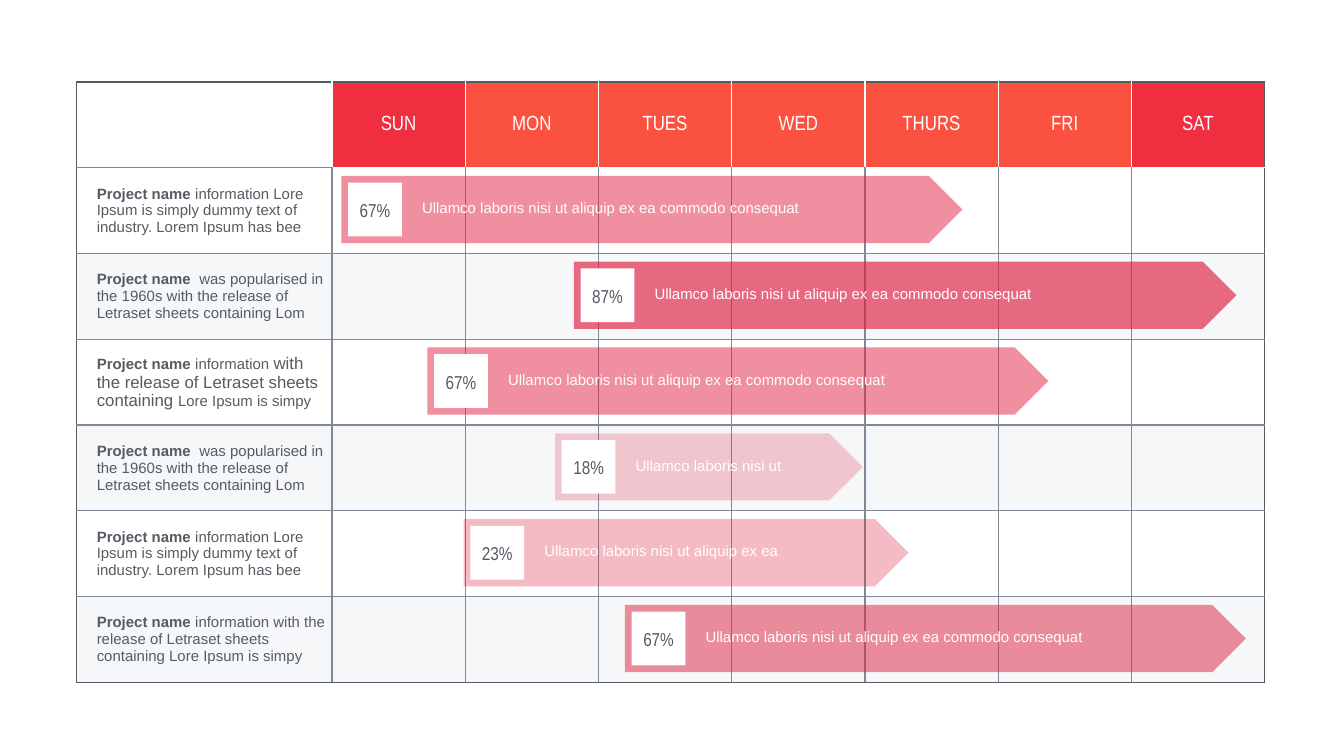
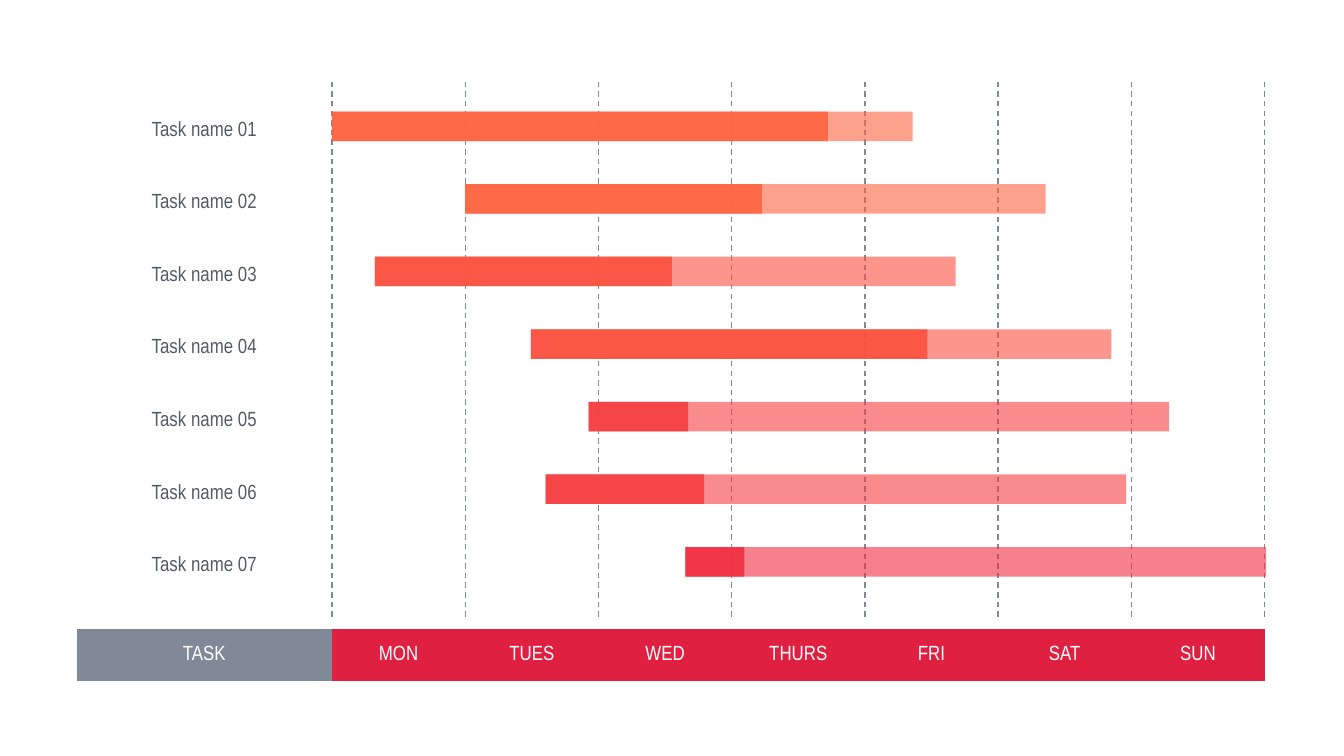
import pptx
import pptx.dml.color
import pptx.enum.dml
import pptx.enum.shapes
import pptx.enum.text
import pptx.oxml
import pptx.oxml.ns
import pptx.util
from lxml import etree

Inches = pptx.util.Inches
SHAPES = pptx.enum.shapes.MSO_SHAPE
ALIGN = pptx.enum.text.PP_ALIGN
qn = pptx.oxml.ns.qn

# Shared look
WHITE, DARK, GREY, PALE = "FFFFFF", "545B63", "7F8998", "EEF0F4"
CRIMSON, RED, CORAL, ORANGE = "E02041", "F12E40", "FA5140", "FE6340"
SCARLET = "F53E42"
BODY, NARROW = "Arial", "Arial Narrow"
PLAIN_TABLE = "{2D5ABB26-0587-4C30-8999-92F81FD0307C}"
CELL_INSETS = (0.04, 0.02, 0.04, 0.02)
PROJECT_INSETS = (0.15, 0.02, 0.04, 0.02)
TIGHT_INSETS = (0.02, 0.02, 0.02, 0.02)

# Shared grid
LEFT, NAME_WIDTH, DAYS_WIDTH, DAY_COUNT = 0.57, 1.9, 6.94, 7
DAYS_LEFT = LEFT + NAME_WIDTH
DAY_WIDTH = DAYS_WIDTH / DAY_COUNT
COLUMNS = [NAME_WIDTH] + [DAY_WIDTH] * DAY_COUNT

# Weekly projects
PROJECT_DAYS = ["SUN", "MON", "TUES", "WED", "THURS", "FRI", "SAT"]
PROJECT_TOP, PROJECT_HEIGHT = 0.61, 4.47
NO_BREAK_SPACE = chr(160)
DUMMY = "information Lore Ipsum is simply dummy text of industry. Lorem Ipsum has bee"
POPULAR = (NO_BREAK_SPACE + "was popularised in the 1960s with the release of "
           "Letraset sheets containing Lom")
LONG = "Ullamco laboris nisi ut aliquip ex ea commodo consequat"
# description as (text, size), arrow left, arrow width, opacity, percent, label, label width
PROJECTS = [
    ([(DUMMY, 8)], 2.54, 4.62, 50, "67%", LONG, 3.11),
    ([(POPULAR, 8)], 4.27, 4.93, 66, "87%", LONG, 3.11),
    ([("information ", 8),
      ("with the release of Letraset sheets containing ", 9),
      ("Lore Ipsum is simpy", 8)], 3.18, 4.62, 50, "67%", LONG, 3.11),
    ([(POPULAR, 8)], 4.13, 2.29, 23, "18%", "Ullamco laboris nisi ut", 1.4),
    ([(DUMMY, 8)], 3.45, 3.31, 30, "23%", "Ullamco laboris nisi ut aliquip ex ea", 2.08),
    ([("information with the release of Letraset sheets containing Lore Ipsum is simpy", 8)],
     4.65, 4.62, 50, "67%", LONG, 3.11),
]

# Weekly tasks: name, bar left, done width, colour
TASK_DAYS = ["MON", "TUES", "WED", "THURS", "FRI", "SAT", "SUN"]
TASKS = [
    ("Task name 01", 2.47, 3.69, ORANGE),
    ("Task name 02", 3.46, 2.21, ORANGE),
    ("Task name 03", 2.79, 2.21, CORAL),
    ("Task name 04", 3.95, 2.95, CORAL),
    ("Task name 05", 4.38, 0.74, SCARLET),
    ("Task name 06", 4.06, 1.18, SCARLET),
    ("Task name 07", 5.1, 0.44, RED),
]
TASK_TOP, TASK_PITCH, BAR_WIDTH, BAR_HEIGHT = 0.83, 0.54, 4.32, 0.22


def rgb(color):
    return pptx.dml.color.RGBColor.from_string(color)


def paint(fill, element, color, opacity=100):
    """Fill solidly; element is the XML element that owns the fill."""
    fill.solid()
    fill.fore_color.rgb = rgb(color)
    if opacity < 100:
        alpha = etree.SubElement(element.find(".//" + qn("a:srgbClr")), qn("a:alpha"))
        alpha.set("val", str(opacity * 1000))


def add_span(para, text, size=11, font=NARROW, color=DARK, bold=False):
    span = para.add_run()
    span.text = text
    span.font.size = pptx.util.Pt(size)
    span.font.name = font
    span.font.bold = bold
    span.font.color.rgb = rgb(color)


def add_text(shapes, place, text, insets=TIGHT_INSETS, align=ALIGN.CENTER, **style):
    frame = shapes.add_textbox(*map(Inches, place)).text_frame
    frame.word_wrap = True
    set_insets(frame, insets)
    frame.paragraphs[0].alignment = align
    add_span(frame.paragraphs[0], text, **style)


def set_insets(owner, insets):
    (owner.margin_left, owner.margin_top,
     owner.margin_right, owner.margin_bottom) = map(Inches, insets)


def add_block(shapes, kind, place, color, opacity=100):
    block = shapes.add_shape(kind, *map(Inches, place))
    block.shadow.inherit = False
    block.line.fill.background()
    paint(block.fill, block._element, color, opacity)


def add_grid(page, top, height, row_count):
    width = NAME_WIDTH + DAYS_WIDTH
    frame = page.shapes.add_table(row_count, len(COLUMNS), *map(Inches, (LEFT, top, width, height)))
    table = frame.table
    table.first_row = table.horz_banding = False
    table._tbl.tblPr.find(qn("a:tableStyleId")).text = PLAIN_TABLE
    for column, column_width in zip(table.columns, COLUMNS):
        column.width = Inches(column_width)
    for row in table.rows:
        row.height = Inches(height / row_count)
    for cell in table.iter_cells():
        set_insets(cell, CELL_INSETS)
        cell.vertical_anchor = pptx.enum.text.MSO_ANCHOR.MIDDLE
        cell.fill.background()
    return table


def fill_header(cell, text, color):
    paint(cell.fill, cell._tc, color)
    para = cell.text_frame.paragraphs[0]
    para.alignment = ALIGN.CENTER
    add_span(para, text, color=WHITE)


def set_borders(cell, **colors):
    """Border keywords come in schema order: L, R, T, B."""
    properties = cell._tc.get_or_add_tcPr()
    for index, (side, color) in enumerate(colors.items()):
        line = etree.Element(qn("a:ln" + side), w=str(pptx.util.Pt(0.75)))
        solid = etree.SubElement(line, qn("a:solidFill"))
        etree.SubElement(solid, qn("a:srgbClr"), val=color)
        properties.insert(index, line)


def draw_project_borders(table):
    last_row, last_column = len(table.rows) - 1, len(COLUMNS) - 1
    for r in range(last_row + 1):
        for c in range(last_column + 1):
            side = WHITE if r == 0 else GREY
            set_borders(
                table.cell(r, c),
                L=DARK if c == 0 else side,
                R=DARK if c == last_column else side,
                T=DARK if r == 0 else WHITE if r == 1 and c > 0 else GREY,
                B=DARK if r == last_row else WHITE if r == 0 and c > 0 else GREY)


def build_projects(page):
    table = add_grid(page, PROJECT_TOP, PROJECT_HEIGHT, len(PROJECTS) + 1)
    for c, day in enumerate(PROJECT_DAYS, 1):
        fill_header(table.cell(0, c), day, RED if day in ("SUN", "SAT") else CORAL)
    row_height = PROJECT_HEIGHT / (len(PROJECTS) + 1)

    for r, project in enumerate(PROJECTS, 1):
        description, left, width, opacity, percent, label, label_width = project
        # Description and row tint
        if r % 2 == 0:
            for c in range(len(COLUMNS)):
                cell = table.cell(r, c)
                paint(cell.fill, cell._tc, PALE, 50)
        name_cell = table.cell(r, 0)
        set_insets(name_cell, PROJECT_INSETS)
        para = name_cell.text_frame.paragraphs[0]
        add_span(para, "Project name ", size=8, font=BODY, bold=True)
        for text, size in description:
            add_span(para, text, size=size, font=BODY)

        # Arrow with label and percent
        top = PROJECT_TOP + r * row_height + 0.06
        shapes = page.shapes.add_group_shape().shapes
        add_block(shapes, SHAPES.PENTAGON, (left, top, width, 0.5), CRIMSON, opacity)
        add_text(shapes, (left + 0.56, top + 0.15, label_width, 0.18), label,
                 insets=CELL_INSETS, align=ALIGN.LEFT, size=8, font=BODY, color=WHITE)
        add_block(shapes, SHAPES.RECTANGLE, (left + 0.05, top + 0.05, 0.4, 0.4), WHITE)
        add_text(shapes, (left + 0.05, top + 0.15, 0.4, 0.2), percent, size=10)
    draw_project_borders(table)


def build_tasks(page):
    # Day band
    table = add_grid(page, 4.68, 0.39, 1)
    fill_header(table.cell(0, 0), "TASK", GREY)
    for c, day in enumerate(TASK_DAYS, 1):
        fill_header(table.cell(0, c), day, CRIMSON)

    # Day lines
    for day in range(DAY_COUNT + 1):
        x = Inches(DAYS_LEFT + day * DAY_WIDTH)
        line = page.shapes.add_connector(
            pptx.enum.shapes.MSO_CONNECTOR.STRAIGHT, x, Inches(4.59), x, Inches(0.6))
        line.line.color.rgb = rgb(GREY)
        line.line.width = pptx.util.Pt(0.75)
        line.line.dash_style = pptx.enum.dml.MSO_LINE.DASH
        etree.SubElement(line._element.spPr, qn("a:effectLst"))

    # Names and bars
    for index, (name, left, done, color) in enumerate(TASKS):
        top = TASK_TOP + index * TASK_PITCH
        add_text(page.shapes, (LEFT, top + 0.01, NAME_WIDTH, 0.22), name)
        shapes = page.shapes.add_group_shape().shapes
        for width, opacity in ((BAR_WIDTH, 60), (done, 90)):
            add_block(shapes, SHAPES.RECTANGLE, (left, top, width, BAR_HEIGHT), color, opacity)


def main():
    deck = pptx.Presentation()
    # Widescreen, 16 to 9
    deck.slide_width = Inches(10)
    deck.slide_height = deck.slide_width * 9 // 16
    for build in (build_projects, build_tasks):
        build(deck.slides.add_slide(deck.slide_layouts[6]))
    deck.save("out.pptx")


if __name__ == "__main__":
    main()
